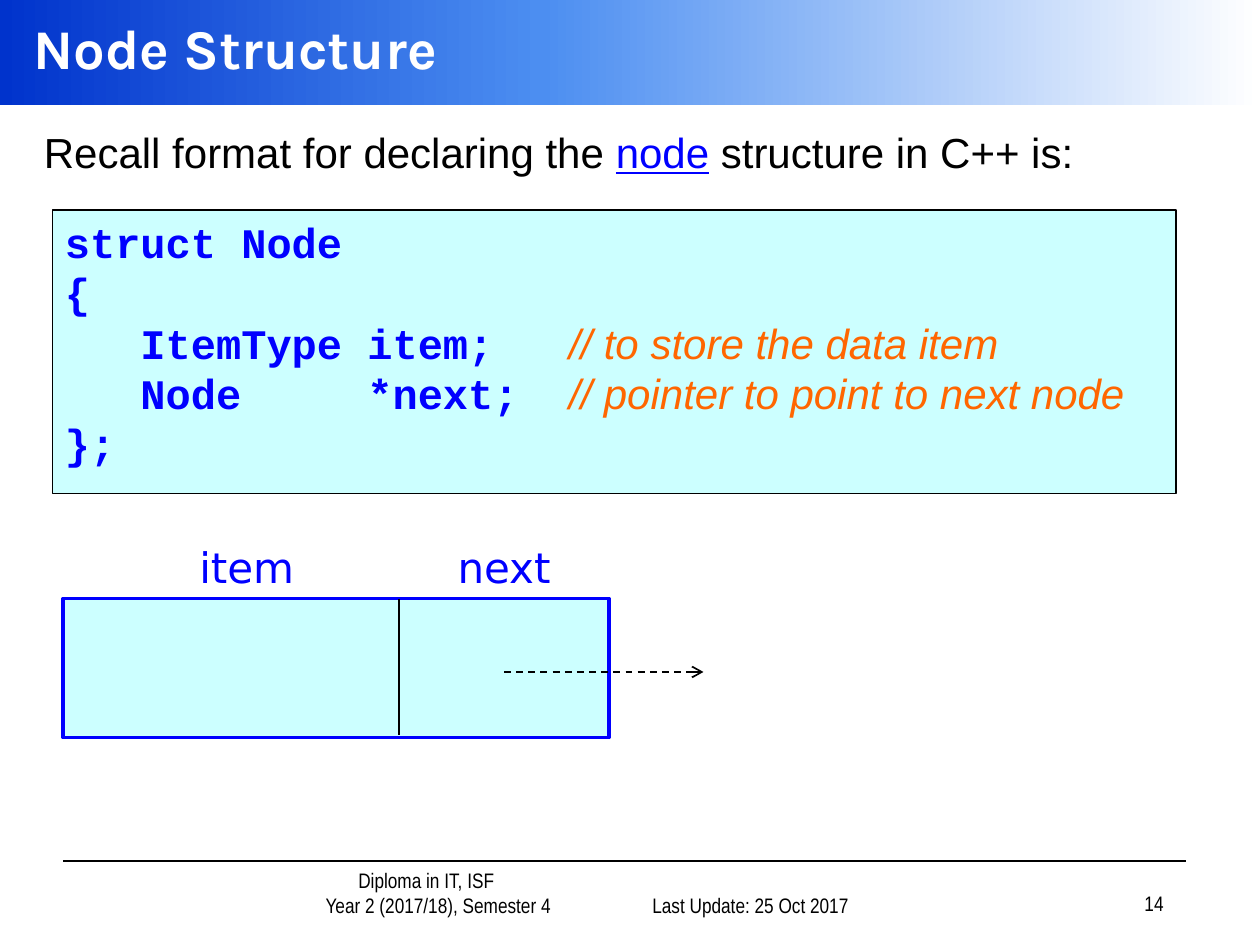
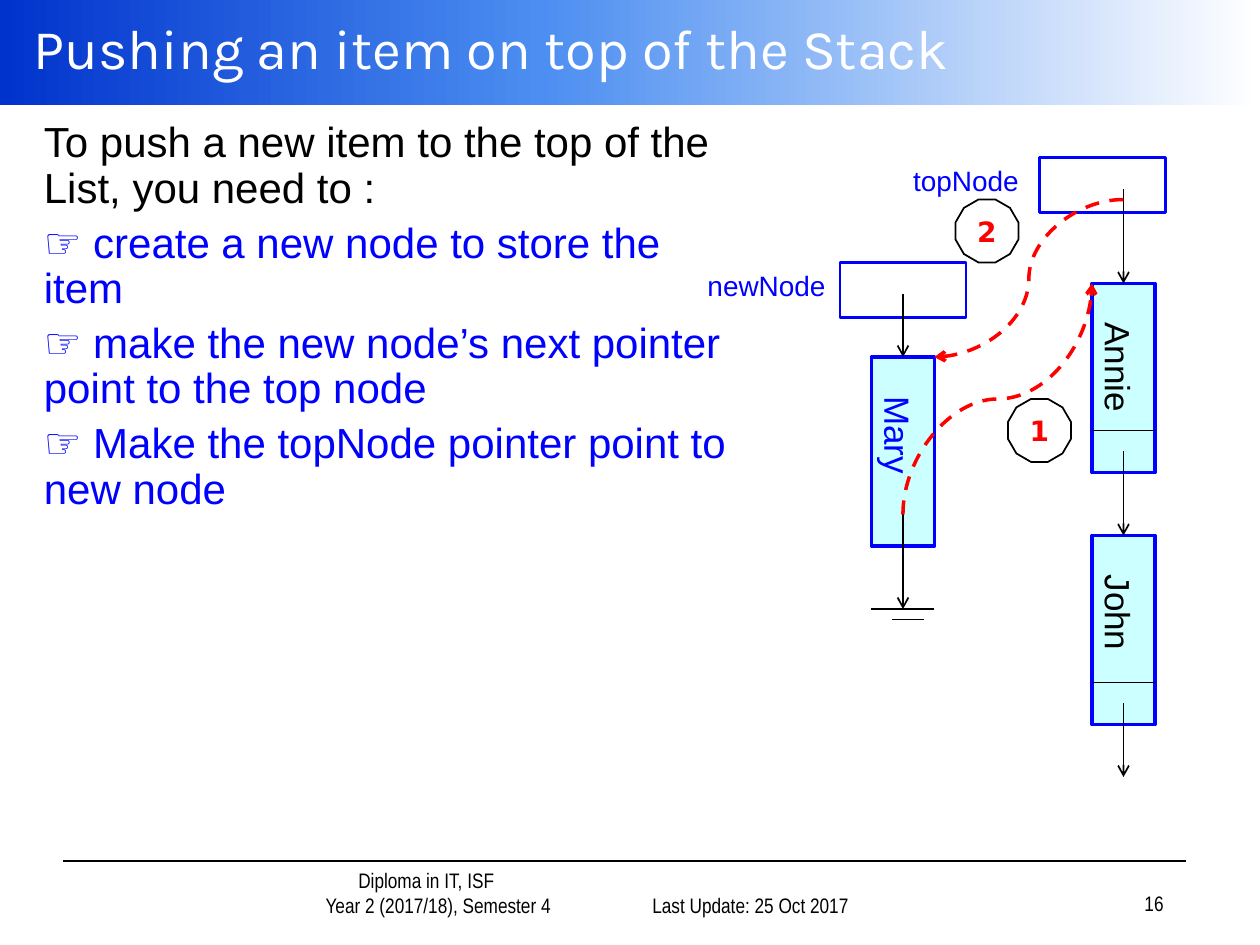
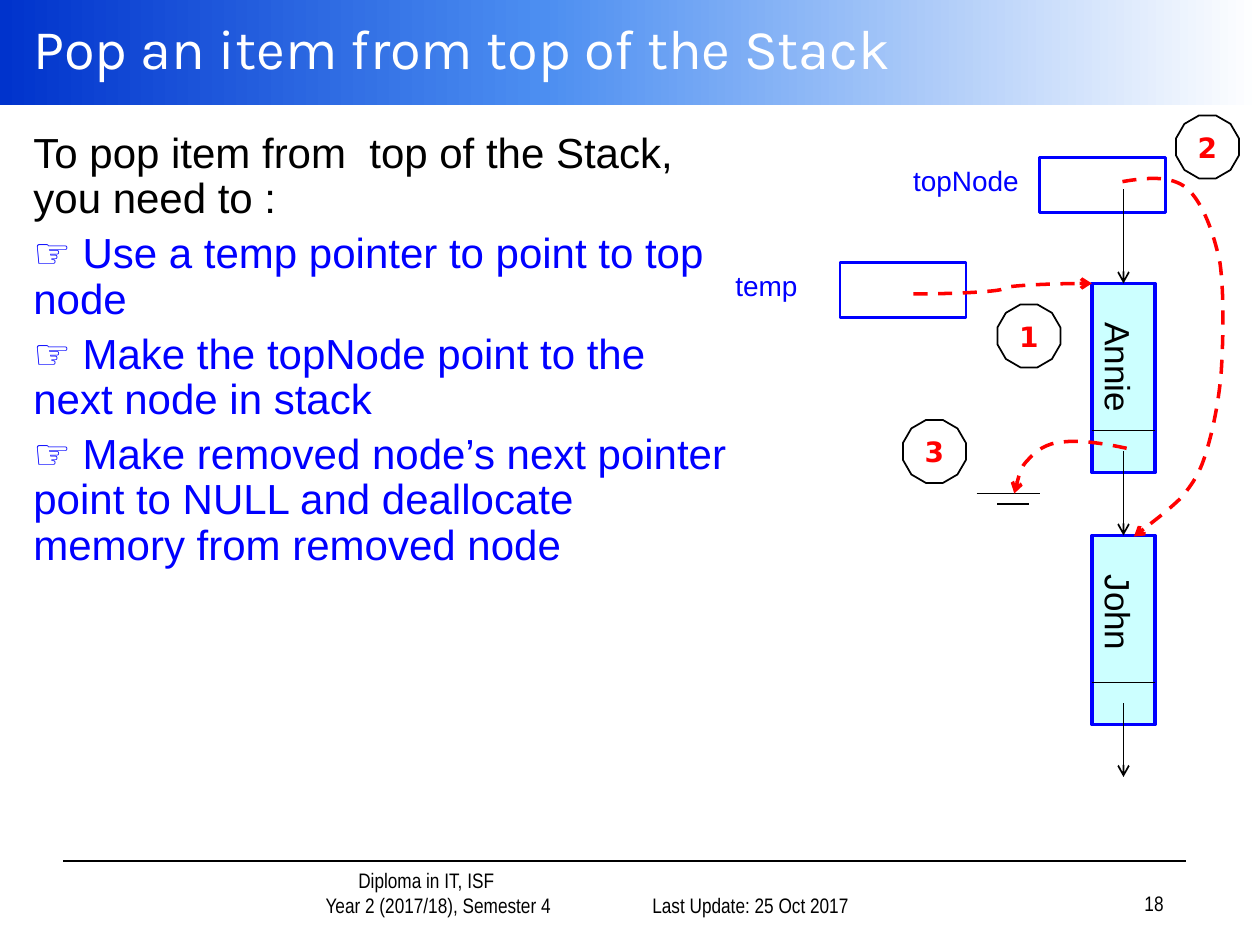
from copy import deepcopy

from lxml import etree
from pptx import Presentation
from pptx.dml.color import RGBColor
from pptx.enum.dml import MSO_LINE
from pptx.enum.shapes import MSO_CONNECTOR, MSO_SHAPE
from pptx.enum.text import MSO_ANCHOR, PP_ALIGN
from pptx.oxml.ns import qn
from pptx.util import Inches, Pt

# Every position is given on a grid of 120 columns by 90 rows
COLS, ROWS = 120, 90
CELL = Inches(10) / COLS

BLACK, WHITE, BLUE, RED = "000000", "FFFFFF", "0000FF", "FF0000"
ORANGE, CYAN = "FF6600", "CCFFFF"
BAND_STOPS = [(0, "0033CC"), (0.43, "4C8EF1"), (1, WHITE)]

BODY, TITLE, CODE, LABEL, FOOTER = (
    "Arial", "Karla", "Courier New", "DejaVu Sans", "Arial Narrow")
LEFT, CENTER, RIGHT = PP_ALIGN.LEFT, PP_ALIGN.CENTER, PP_ALIGN.RIGHT
TOP, MIDDLE, BOTTOM = MSO_ANCHOR.TOP, MSO_ANCHOR.MIDDLE, MSO_ANCHOR.BOTTOM
STRAIGHT, CURVE = MSO_CONNECTOR.STRAIGHT, MSO_CONNECTOR.CURVE
RECT, DODECAGON = MSO_SHAPE.RECTANGLE, MSO_SHAPE.DODECAGON
DASH = MSO_LINE.DASH


def rgb(color):
    return RGBColor.from_string(color)


def cells(*values):
    return [round(v * CELL) for v in values]


# ---- Text ----

def style(font, name, size, color, bold=False, italic=False):
    font.name, font.size, font.bold, font.italic = name, Pt(size), bold, italic
    font.color.rgb = rgb(color)


def write(tf, lines, name, size, color, bold=False, align=LEFT, anchor=TOP):
    tf.word_wrap = True
    tf.vertical_anchor = anchor
    for i, line in enumerate(lines):
        p = tf.paragraphs[0] if i == 0 else tf.add_paragraph()
        p.alignment = align
        style(p.font, name, size, color, bold)
        p.add_run().text = line
    return tf


def add_text(slide, box, lines, *args, **kwargs):
    tf = slide.shapes.add_textbox(*cells(*box)).text_frame
    return write(tf, lines, *args, **kwargs)


# ---- Shapes and lines ----

def add_shape(slide, kind, box, fill=None, line=None, width=1):
    sp = slide.shapes.add_shape(kind, *cells(*box))
    sp.shadow.inherit = False
    if fill:
        sp.fill.solid()
        sp.fill.fore_color.rgb = rgb(fill)
    else:
        sp.fill.background()
    if line:
        set_line(sp, line, width)
    else:
        sp.line.fill.background()
    return sp


def set_line(sp, color, width, dash=None, arrow=False):
    sp.line.color.rgb = rgb(color)
    sp.line.width = Pt(width)
    if dash:
        sp.line.dash_style = dash
    if arrow:
        ln = sp.line._get_or_add_ln()
        etree.SubElement(ln, qn("a:tailEnd"), type="arrow")


def add_line(slide, start, end, kind=STRAIGHT, color=BLACK, width=1, **kwargs):
    cxn = slide.shapes.add_connector(kind, *cells(*start, *end))
    set_line(cxn, color, width, **kwargs)
    etree.SubElement(cxn._element.spPr, qn("a:effectLst"))
    return cxn


def add_arrow(slide, start, end, **kwargs):
    return add_line(slide, start, end, arrow=True, **kwargs)


def add_curve(slide, start, end, upright=False):
    """Dashed red S-curve; an upright one leaves its ends vertically."""
    (x1, y1), (x2, y2) = start, end
    if upright:
        cx, cy = (x1 + x2) / 2, (y1 + y2) / 2
        dx, dy = (y2 - y1) / 2, (x1 - x2) / 2
        start, end = (cx - dx, cy - dy), (cx + dx, cy + dy)
    cxn = add_arrow(slide, start, end, kind=CURVE, color=RED, width=2, dash=DASH)
    if upright:
        cxn._element.spPr.xfrm.set("rot", str(90 * 60000))


def add_bezier(slide, x, y, points):
    """Dashed red arrow: a start point, then three points for each curve."""
    points = [cells(x + px, y + py) for px, py in points]
    builder = slide.shapes.build_freeform(*points[0])
    builder.add_line_segments(points[1:], close=False)
    sp = builder.convert_to_shape()
    steps = list(sp._element.iter(qn("a:lnTo")))
    for i in range(0, len(steps), 3):
        curve = etree.Element(qn("a:cubicBezTo"))
        steps[i].addprevious(curve)
        for step in steps[i:i + 3]:
            curve.append(step[0])
            step.getparent().remove(step)
    sp.shadow.inherit = False
    sp.fill.background()
    set_line(sp, RED, 2, dash=DASH, arrow=True)


# ---- Shared frame ----

def add_frame(prs, title, number, bold=False):
    slide = prs.slides.add_slide(prs.slide_layouts[6])

    # Title band
    band = add_shape(slide, RECT, (0, 0, COLS, 10))
    band.fill.gradient()
    band.fill.gradient_angle = 0
    stops = next(band._element.iter(qn("a:gsLst")))
    stops.insert(1, deepcopy(stops[0]))
    for stop, (position, color) in zip(band.fill.gradient_stops, BAND_STOPS):
        stop.position = position
        stop.color.rgb = rgb(color)
    add_text(slide, (2, 0, COLS - 2, 9), [title], TITLE, 32, WHITE, bold,
             anchor=MIDDLE)

    # Footer
    add_line(slide, (6, 82), (113, 82))
    course = add_text(slide, (20.2, 83, 34.8, 5),
                      ["Diploma in IT, ISF", "Year 2 (2017/18), Semester 4"],
                      FOOTER, 12, BLACK, align=CENTER, anchor=BOTTOM)
    for p, indent in zip(course.paragraphs, (0.5, 0.69)):
        p._p.get_or_add_pPr().set("marL", str(Inches(indent)))
    for x, y, text in ((57, 83, "Last Update: 25 Oct 2017"),
                       (87, 82.8, str(number))):
        add_text(slide, (x, y, 25, 5), [text], FOOTER, 12, BLACK,
                 align=RIGHT, anchor=BOTTOM)
    return slide


def add_steps(slide, box, intro, steps):
    tf = add_text(slide, box, [intro] + ["☞"] * len(steps), BODY, 24, BLACK)
    for p in tf.paragraphs:
        p.line_spacing = 0.9
        p.space_before = Pt(5.5)
    for p, step in zip(tf.paragraphs[1:], steps):
        p.font.color.rgb = rgb(BLUE)
        p.runs[0].font.bold = True
        p.add_run().text = " " + step


# ---- Node structure ----

def add_code(slide, box):
    sp = add_shape(slide, RECT, box, CYAN, BLACK, 0.75)
    code = [("struct Node", ""), ("{", ""),
            ("   ItemType item;   ", "// to store the data item"),
            ("   Node     *next;  ", "// pointer to point to next node"),
            ("};", "")]
    tf = write(sp.text_frame, [line for line, _ in code], CODE, 24, BLUE, True)
    for p, (_, comment) in zip(tf.paragraphs, code):
        if comment:
            r = p.add_run()
            r.text = comment
            style(r.font, BODY, 24, ORANGE, italic=True)


def add_node_layout(slide, x, y):
    add_shape(slide, RECT, (x, y, 52, 13.25), CYAN, BLUE, 2)
    add_line(slide, (x + 32, y), (x + 32, y + 13))
    for dx, width, field in ((8, 19, "item"), (34, 16, "next")):
        add_text(slide, (x + dx, y - 6, width, 6), [field], LABEL, 24, BLUE,
                 align=CENTER)
    add_arrow(slide, (x + 42, y + 7), (x + 61, y + 7), dash=DASH)


# ---- Stack diagrams ----

def add_pointer(slide, x, y, name):
    add_shape(slide, RECT, (x, y, 12, 5.25), line=BLUE, width=1.5)
    add_text(slide, (x - 15, y, 16, 4.5), [name], BODY, 16, BLUE, align=CENTER)


def add_node(slide, x, y, name, color=BLACK, divided=True):
    """Upright node of 6 by 18 cells whose text runs downwards."""
    sp = add_shape(slide, RECT, (x - 6, y + 6, 18, 6), CYAN, BLUE, 2)
    sp.rotation = 90
    tf = write(sp.text_frame, [name], BODY, 20, color)
    tf.margin_left, tf.margin_top = Inches(0.31), Inches(0.12)
    if divided:
        add_line(slide, (x, y + 14), (x + 6, y + 14))


def add_null(slide, x, y):
    add_line(slide, (x, y), (x + 6, y))
    add_line(slide, (x + 2, y + 1), (x + 5, y + 1))


def add_badge(slide, x, y, number):
    sp = add_shape(slide, DODECAGON, (x, y, 6, 6), line=BLACK)
    tf = write(sp.text_frame, [str(number)], LABEL, 16, RED, True, CENTER, MIDDLE)
    tf.margin_left = tf.margin_right = tf.margin_top = tf.margin_bottom = 0


def add_stack(slide, x, y, second_pointer):
    add_pointer(slide, x + 34, y + 5, "topNode")
    add_pointer(slide, x + 15, y + 15, second_pointer)
    add_node(slide, x + 39, y + 17, "Annie")
    add_node(slide, x + 39, y + 41, "John")
    for top, bottom in ((8, 17), (33, 41), (57, 64)):
        add_arrow(slide, (x + 42, y + top), (x + 42, y + bottom))


def add_push_diagram(slide, x, y):
    add_stack(slide, x, y, "newNode")
    add_node(slide, x + 18, y + 24, "Mary", BLUE, divided=False)
    add_arrow(slide, (x + 21, y + 18), (x + 21, y + 24))
    add_arrow(slide, (x + 21, y + 39), (x + 21, y + 48))
    add_null(slide, x + 18, y + 48)
    add_curve(slide, (x + 21, y + 39), (x + 39, y + 17), upright=True)
    add_curve(slide, (x + 42, y + 9), (x + 24, y + 24))
    add_badge(slide, x + 31, y + 28, 1)
    add_badge(slide, x + 26, y + 9, 2)


def add_pop_diagram(slide, x, y):
    add_stack(slide, x, y, "temp")
    add_null(slide, x + 28, y + 37)
    add_curve(slide, (x + 22, y + 18), (x + 39, y + 17))
    # topNode to John
    add_bezier(slide, x, y, [
        (41.9, 7.3), (44.2, 6.9), (46.5, 6.7), (48, 7.9),
        (49.5, 9.2), (50.6, 12.1), (51.2, 15.1),
        (51.6, 18.1), (51.5, 22.6), (51.3, 25.6),
        (51, 28.8), (50.4, 31.4), (49.8, 33.3),
        (49.2, 35.2), (48.6, 36), (47.6, 37.3),
        (46.4, 38.5), (43, 41.1), (43, 41.1)])
    # Annie to NULL
    add_bezier(slide, x, y, [
        (42.3, 32.7), (40, 32.2), (37.7, 31.9), (36.2, 32.1),
        (34.6, 32.2), (33.6, 33), (32.9, 33.8),
        (32.1, 34.6), (31.6, 37), (31.6, 37)])
    for number, (dx, dy) in enumerate([(30, 19), (47, 1), (21, 30)], 1):
        add_badge(slide, x + dx, y + dy, number)


# ---- Slides ----

def node_slide(prs):
    slide = add_frame(prs, "Node Structure", 14, bold=True)
    tf = add_text(slide, (3, 12, 115, 8), ["Recall format for declaring the "],
                  BODY, 24, BLACK)
    p = tf.paragraphs[0]
    p.line_spacing = 0.9
    r = p.add_run()
    r.text = "node"
    r.font.underline = True
    r.font.color.rgb = rgb(BLUE)
    p.add_run().text = " structure in C++ is:"
    add_code(slide, (5, 20, 107, 27))
    add_node_layout(slide, 6, 57)


def push_slide(prs):
    slide = add_frame(prs, "Pushing an item on top of the Stack", 16)
    add_steps(slide, (3, 11, 69, 58),
              "To push a new item to the top of the List, you need to :",
              ["create a new node to store the item",
               "make the new node’s next pointer point to the top node",
               "Make the topNode pointer point to new node"])
    add_push_diagram(slide, 65, 10)


def pop_slide(prs):
    slide = add_frame(prs, "Pop an item from top of the Stack", 18)
    add_steps(slide, (2, 12, 69, 51),
              "To pop item from  top of the Stack, you need to :",
              ["Use a temp pointer to point to top node",
               "Make the topNode point to the next node in stack",
               "Make removed node’s next pointer point to NULL and "
               "deallocate memory from removed node"])
    add_pop_diagram(slide, 65, 10)


def main():
    prs = Presentation()
    prs.slide_width, prs.slide_height = cells(COLS, ROWS)
    node_slide(prs)
    push_slide(prs)
    pop_slide(prs)
    prs.save("out.pptx")


if __name__ == "__main__":
    main()
